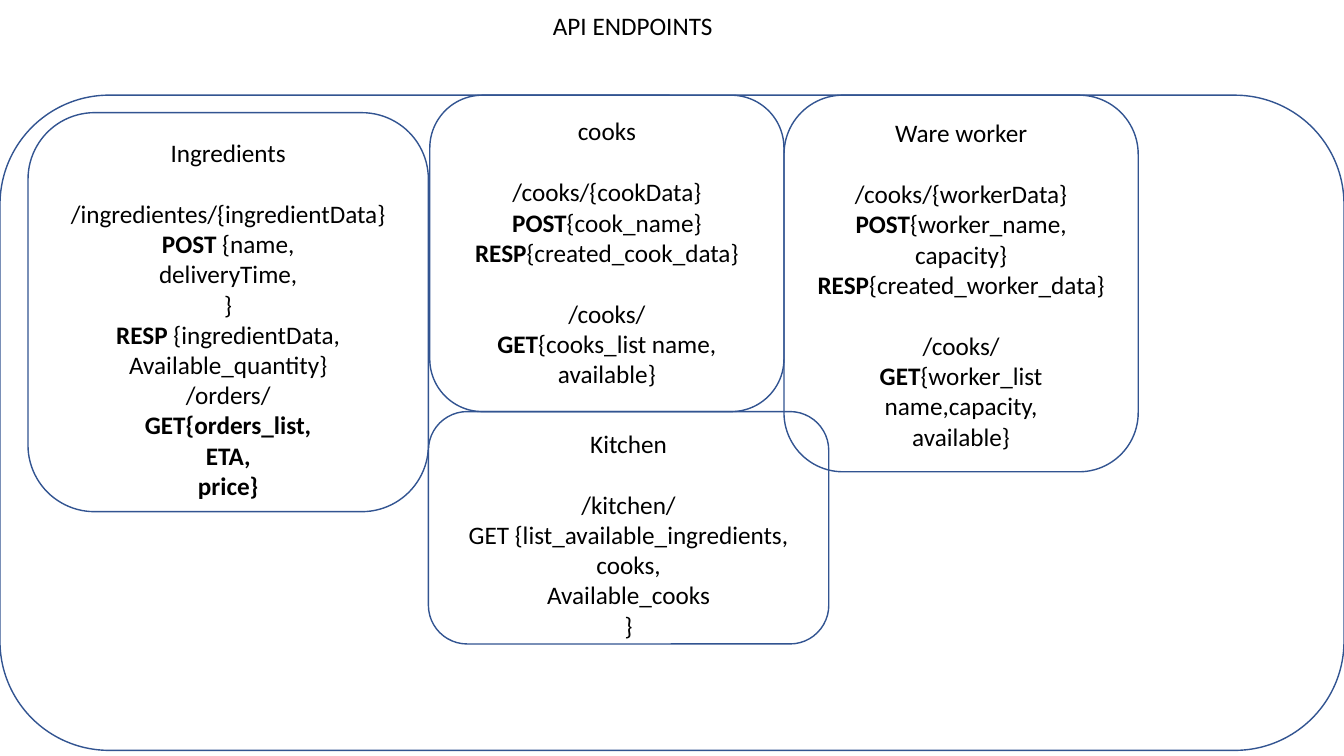
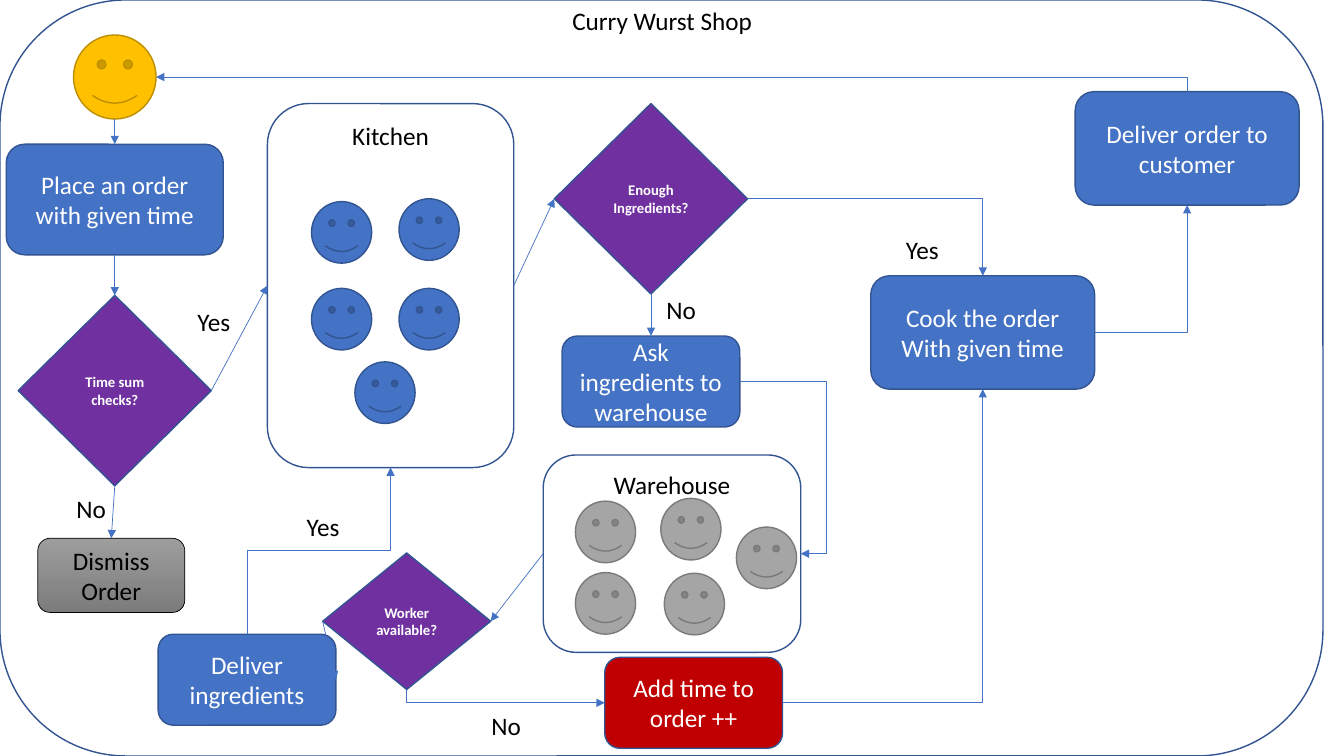
from dataclasses import dataclass

from lxml import etree
from pptx import Presentation
from pptx.dml.color import RGBColor
from pptx.enum.shapes import MSO_CONNECTOR, MSO_SHAPE
from pptx.enum.text import MSO_ANCHOR, MSO_AUTO_SIZE, PP_ALIGN
from pptx.oxml.ns import qn
from pptx.util import Pt

ROUND, FACE, RHOMB = MSO_SHAPE.ROUNDED_RECTANGLE, MSO_SHAPE.SMILEY_FACE, MSO_SHAPE.DIAMOND
STRAIGHT, ELBOW = MSO_CONNECTOR.STRAIGHT, MSO_CONNECTOR.ELBOW
TOP_TEXT, MID_TEXT = MSO_ANCHOR.TOP, MSO_ANCHOR.MIDDLE
LEFT_TEXT, MID_LINE = PP_ALIGN.LEFT, PP_ALIGN.CENTER
GROW = MSO_AUTO_SIZE.SHAPE_TO_FIT_TEXT
TOP, LEFT, BOTTOM, RIGHT = range(4)


@dataclass(frozen=True)
class Theme:
    font: str = "Calibri"
    body: float = 18
    small: float = 10.5
    gap: float = 22
    edge: float = 1
    thin: float = 0.5
    black: str = "000000"
    white: str = "FFFFFF"
    blue: str = "4472C4"
    navy: str = "325491"
    plum: str = "7030A0"
    red: str = "C00000"
    gold: str = "FFC000"
    amber: str = "BD8E00"
    gray: str = "A5A5A5"
    slate: str = "7A7A7A"
    fade: tuple = ("9D9D9D", "7C7C7C")


class Deck:
    def __init__(self, theme):
        self.theme = theme
        self.file = Presentation()
        self.file.slide_width, self.file.slide_height = Pt(960), Pt(540)

    def page(self):
        self.slide = self.file.slides.add_slide(self.file.slide_layouts[6])
        self.home = self.slide.shapes

    def group(self):
        """Send the shapes that follow into a new group."""
        self.home = self.slide.shapes.add_group_shape().shapes

    def ungroup(self):
        self.home = self.slide.shapes

    def put_text(self, frame, blocks, color, size=None, bold=False, align=MID_LINE):
        """Fill a frame with blocks of lines; text between stars is bold."""
        frame.word_wrap = True
        para = None
        for block in blocks:
            for row, line in enumerate(block):
                first = para is None
                para = frame.paragraphs[0] if first else frame.add_paragraph()
                para.alignment = align
                if row == 0 and not first:
                    para.space_before = Pt(self.theme.gap)
                for turn, part in enumerate(line.split("*")):
                    if part:
                        run = para.add_run()
                        run.text = part
                        run.font.name = self.theme.font
                        run.font.size = Pt(size or self.theme.body)
                        run.font.bold = bold or turn % 2 == 1
                        run.font.color.rgb = RGBColor.from_string(color)

    def label(self, box, text, align=LEFT_TEXT):
        frame = self.home.add_textbox(*map(Pt, box)).text_frame
        self.put_text(frame, [[text]], self.theme.black, align=align)
        frame.auto_size = GROW

    def title(self, box, text):
        self.label(box, text, MID_LINE)

    def shape(self, kind, box, fill=None, line=None, width=None):
        item = self.home.add_shape(kind, *map(Pt, box))
        item.shadow.inherit = False
        if fill is None:
            item.fill.background()
        elif isinstance(fill, tuple):
            item.fill.gradient()
            item.fill.gradient_angle = 270
            for stop, color in zip(item.fill.gradient_stops, fill):
                stop.color.rgb = RGBColor.from_string(color)
        else:
            item.fill.solid()
            item.fill.fore_color.rgb = RGBColor.from_string(fill)
        item.line.color.rgb = RGBColor.from_string(line or self.theme.navy)
        item.line.width = Pt(width or self.theme.edge)
        return item

    def panel(self, box, blocks=()):
        item = self.shape(ROUND, box)
        item.text_frame.vertical_anchor = TOP_TEXT
        self.put_text(item.text_frame, blocks, self.theme.black)
        return item

    def step(self, box, *lines, fill=None, color=None, line=None, width=None):
        item = self.shape(ROUND, box, fill or self.theme.blue, line, width)
        item.text_frame.vertical_anchor = MID_TEXT
        self.put_text(item.text_frame, [lines], color or self.theme.white)
        return item

    def test(self, box, text):
        """Draw a decision diamond."""
        item = self.shape(RHOMB, box, self.theme.plum)
        item.text_frame.vertical_anchor = MID_TEXT
        self.put_text(item.text_frame, [[text]], self.theme.white, self.theme.small, True)
        return item

    def crew(self, spots, fill, line):
        """Draw one worker face at each spot."""
        for spot in spots:
            self.shape(FACE, (*spot, 43, 44), fill, line)

    def side(self, item, site):
        """Return the middle of one side of a shape."""
        x = item.left + item.width * (0, -1, 0, 1)[site] // 2 + item.width // 2
        y = item.top + item.height * (-1, 0, 1, 0)[site] // 2 + item.height // 2
        return x, y

    def link(self, start, out, end, into, form=None, bend=None):
        """Draw an arrow; form names an elbow preset, bend moves its middle leg."""
        (x, y), (u, v) = self.side(start, out), self.side(end, into)
        wire = self.home.add_connector(ELBOW if form else STRAIGHT, x, y, u, v)
        if start.auto_shape_type != FACE:
            wire.begin_connect(start, out)
        if end.auto_shape_type != FACE:
            wire.end_connect(end, into)
        props = wire.element.spPr
        if form:
            geom = props.find(qn("a:prstGeom"))
            geom.set("prst", form)
            if bend:
                guide = etree.SubElement(geom.find(qn("a:avLst")), qn("a:gd"))
                guide.set("name", "adj1")
                guide.set("fmla", f"val {round(bend * 100000)}")
            if out in (TOP, BOTTOM):
                # An elbow leaves sideways, so one that leaves upright is turned 90°.
                cx, cy, dx, dy = (x + u) // 2, (y + v) // 2, u - x, v - y
                wire.begin_x, wire.begin_y = cx - dy // 2, cy + dx // 2
                wire.end_x, wire.end_y = cx + dy // 2, cy - dx // 2
                props.find(qn("a:xfrm")).set("rot", "5400000")
        wire.line.color.rgb = RGBColor.from_string(self.theme.blue)
        wire.line.width = Pt(self.theme.thin)
        etree.SubElement(props.find(qn("a:ln")), qn("a:tailEnd")).set("type", "triangle")
        etree.SubElement(props, qn("a:effectLst"))


def draw_api(deck):
    deck.page()
    deck.title((338, 4, 228, 29), "API ENDPOINTS")
    deck.panel((0, 68, 960, 468))
    deck.panel((20, 80.5, 286, 285), [
        ["Ingredients"],
        ["/ingredientes/{ingredientData}", "*POST* {name,", "deliveryTime,", "}",
         "*RESP* {ingredientData,", "Available_quantity}", "/orders/",
         "*GET{orders_list,*", "*ETA,*", "*price}*"]])
    deck.panel((307, 68, 253, 226), [
        ["cooks"],
        ["/cooks/{cookData}", "*POST*{cook_name}", "*RESP*{created_cook_data}"],
        ["/cooks/", "*GET*{cooks_list name,", "available}"]])
    deck.panel((560, 68, 253, 269), [
        ["Ware worker"],
        ["/cooks/{workerData}", "*POST*{worker_name,", "capacity}",
         "*RESP*{created_worker_data}"],
        ["/cooks/", "*GET*{worker_list name,capacity,", "available}"]])
    deck.panel((306, 294, 286, 166), [
        ["Kitchen"],
        ["/kitchen/", "GET {list_available_ingredients,", "cooks,",
         "Available_cooks", "}"]])


def draw_shop(deck):
    look = deck.theme
    deck.page()
    deck.panel((0, 0, 945, 540))
    deck.title((399, 0, 148, 29), "Curry Wurst Shop")
    guest = deck.shape(FACE, (52.5, 25, 59, 60), look.gold, look.amber)
    place = deck.step((4.5, 103, 155, 79), "Place an order with given time")

    deck.group()
    kitchen = deck.panel((191, 74, 176, 260), [["Kitchen"]])
    deck.crew([(222.5, 144), (222.5, 206), (285, 142), (285, 206), (253.5, 258.5)],
              look.blue, look.navy)
    deck.group()
    store = deck.panel((388, 325, 184, 141), [["Warehouse"]])
    deck.crew([(411, 358), (472, 356), (411, 409), (474.5, 409.5), (526, 376.5)],
              look.gray, look.slate)
    deck.ungroup()

    cook = deck.step((622, 197, 160, 81), "Cook the order", "With given time")
    stock = deck.test((396, 74, 138, 136), "Enough Ingredients?")
    ask = deck.step((401.5, 240, 127, 65), "Ask ingredients to warehouse")
    bring = deck.step((113, 453, 127, 65), "Deliver ingredients")
    serve = deck.step((768, 65.5, 160, 81), "Deliver order to customer")
    hand = deck.test((230.5, 395, 120, 97.5), "Worker available?")
    delay = deck.step((432, 469.5, 127, 65), "Add time to order ++", fill=look.red)
    time = deck.test((13, 211, 138, 136), "Time sum checks?")
    drop = deck.step((27, 384.5, 105, 53), "Dismiss Order", fill=look.fade,
                     color=look.black, line=look.black, width=look.thin)

    two, three = "bentConnector2", "bentConnector3"
    for route in (
        (guest, BOTTOM, place, TOP),
        (place, BOTTOM, time, TOP),
        (time, RIGHT, kitchen, LEFT),
        (time, BOTTOM, drop, TOP),
        (kitchen, RIGHT, stock, LEFT),
        (stock, BOTTOM, ask, TOP),
        (stock, RIGHT, cook, TOP, two),
        (ask, RIGHT, store, RIGHT, three, 1.42),
        (store, LEFT, hand, RIGHT),
        (hand, LEFT, bring, RIGHT),
        (hand, BOTTOM, delay, LEFT, two),
        (bring, TOP, kitchen, BOTTOM, three, 0.5),
        (delay, RIGHT, cook, BOTTOM, two),
        (cook, RIGHT, serve, BOTTOM, two),
        (serve, TOP, guest, RIGHT, two),
    ):
        deck.link(*route)

    for x, y, text in ((640, 164, "Yes"), (469, 207, "No"), (212, 361.5, "Yes"),
                       (344, 504, "No"), (134, 215, "Yes"), (47.5, 348.5, "No")):
        deck.label((x, y, 53, 29), text)


def main():
    deck = Deck(Theme())
    draw_api(deck)
    draw_shop(deck)
    deck.file.save("out.pptx")


if __name__ == "__main__":
    main()
